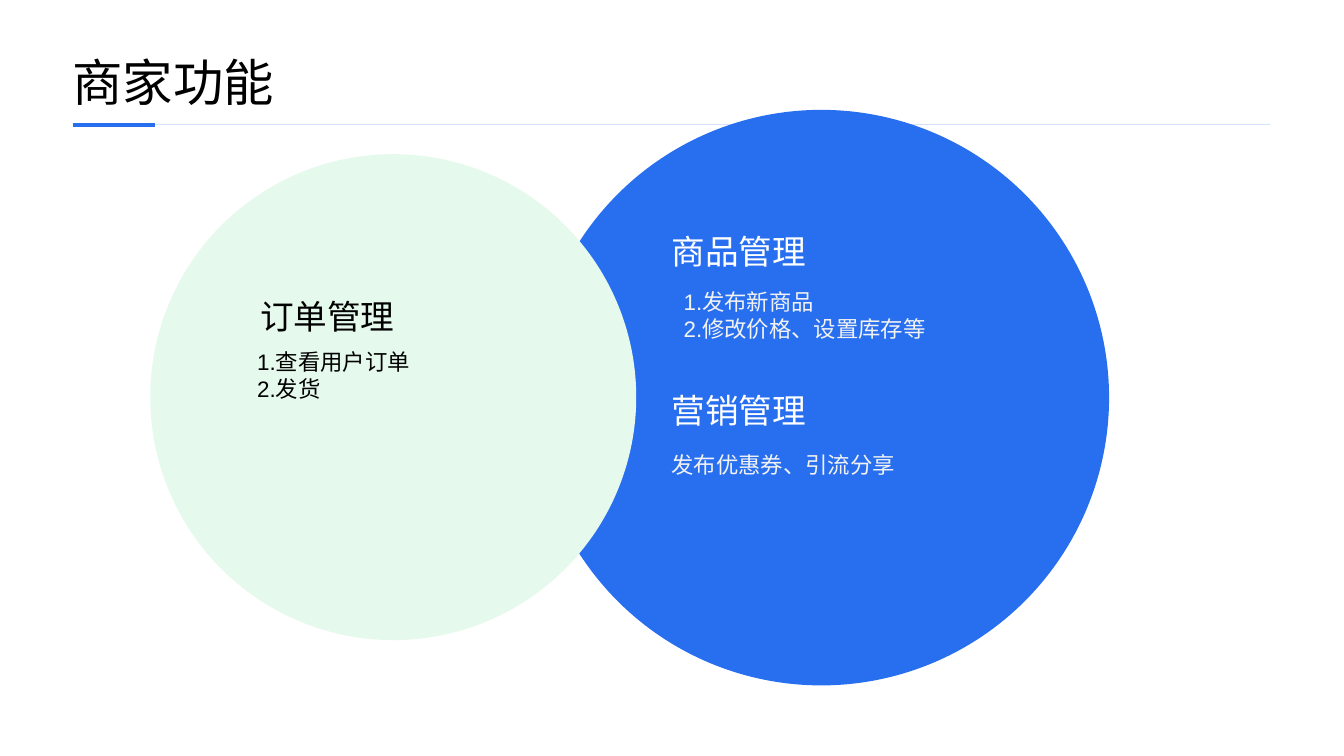
from lxml import etree
from pptx import Presentation
from pptx.dml.color import RGBColor
from pptx.enum.shapes import MSO_CONNECTOR as Connector, MSO_SHAPE as Shape
from pptx.enum.text import MSO_ANCHOR as Anchor
from pptx.oxml.ns import qn
from pptx.util import Inches, Pt

HEADING_FONT = "Noto Sans CJK SC"
BODY_FONT = "Arial"
BLUE, PALE_BLUE, MINT = "286FF0", "D4E2FC", "E5F9ED"
BLACK, WHITE, OFF_WHITE = "000000", "FFFFFF", "F2F2F2"


def rgb(value):
    """Turn a hex string into a colour."""
    return RGBColor.from_string(value)


def add_text(page, text, left, top, width, height, size=16, font=BODY_FONT,
             color=BLACK, line_spacing=None):
    """Place a text box without margins, one paragraph per line of text."""
    box = page.shapes.add_textbox(*map(Inches, (left, top, width, height)))
    frame = box.text_frame
    frame.word_wrap = True
    frame.vertical_anchor = Anchor.TOP
    frame.margin_left = frame.margin_right = 0
    frame.margin_top = frame.margin_bottom = 0
    for index, line in enumerate(text.split("\n")):
        para = frame.paragraphs[0] if index == 0 else frame.add_paragraph()
        para.line_spacing = line_spacing
        span = para.add_run()
        span.text = line
        span.font.size = Pt(size)
        span.font.name = font
        span.font.color.rgb = rgb(color)
        east_asian = etree.SubElement(span.font._element, qn("a:ea"))
        east_asian.set("typeface", font)


def add_rule(page, left, top, length, color, weight):
    """Draw a horizontal line."""
    rule = page.shapes.add_connector(
        Connector.STRAIGHT, Inches(left), Inches(top),
        Inches(left + length), Inches(top))
    rule.line.color.rgb = rgb(color)
    rule.line.width = Pt(weight)
    etree.SubElement(rule._element.spPr, qn("a:effectLst"))


def add_circle(page, left, top, diameter, color):
    """Draw a plain filled circle."""
    circle = page.shapes.add_shape(
        Shape.OVAL, Inches(left), Inches(top),
        Inches(diameter), Inches(diameter))
    circle.shadow.inherit = False
    circle.fill.solid()
    circle.fill.fore_color.rgb = rgb(color)
    circle.line.fill.background()


def add_header(page, title, left, top, width):
    """Place the slide title above its two-tone rule."""
    rule_top = top + 0.66
    add_rule(page, left, rule_top, width, PALE_BLUE, 0.75)
    add_rule(page, left, rule_top, 0.82, BLUE, 2.25)
    add_text(page, title, left, top, 4.76, 0.55, size=36,
             font=HEADING_FONT, line_spacing=0.9)


def add_topic(page, heading, details, left, top, indent, gap, height,
              heading_color=BLACK, detail_color=BLACK):
    """Place a heading with its details below."""
    add_text(page, heading, left, top, 1.35, 0.4, size=24,
             font=HEADING_FONT, color=heading_color)
    add_text(page, details, left + indent, top + gap, 3.42, height,
             color=detail_color)


def add_goods_circle(page, left, top, diameter):
    """Draw the blue circle with the goods and marketing topics."""
    add_circle(page, left, top, diameter, BLUE)
    colors = {"heading_color": WHITE, "detail_color": OFF_WHITE}
    add_topic(page, "商品管理", "1.发布新商品\n2.修改价格、设置库存等",
              left + 1.37, top + 1.2, 0.12, 0.57, 1.08, **colors)
    add_topic(page, "营销管理", "发布优惠券、引流分享",
              left + 1.37, top + 2.78, 0, 0.61, 0.27, **colors)


def add_order_circle(page, left, top, diameter):
    """Draw the mint circle with the order topic."""
    add_circle(page, left, top, diameter, MINT)
    add_topic(page, "订单管理", "1.查看用户订单\n2.发货",
              left + 1.09, top + 1.41, -0.03, 0.51, 1.08)


def main():
    """Build the slide and save the deck."""
    deck = Presentation()
    deck.slide_width, deck.slide_height = Inches(13.33), Inches(7.5)
    page = deck.slides.add_slide(deck.slide_layouts[6])
    add_header(page, "商家功能", 0.72, 0.58, 11.88)
    add_goods_circle(page, 5.29, 1.09, 5.71)
    add_order_circle(page, 1.49, 1.53, 4.82)
    deck.save("out.pptx")


if __name__ == "__main__":
    main()
